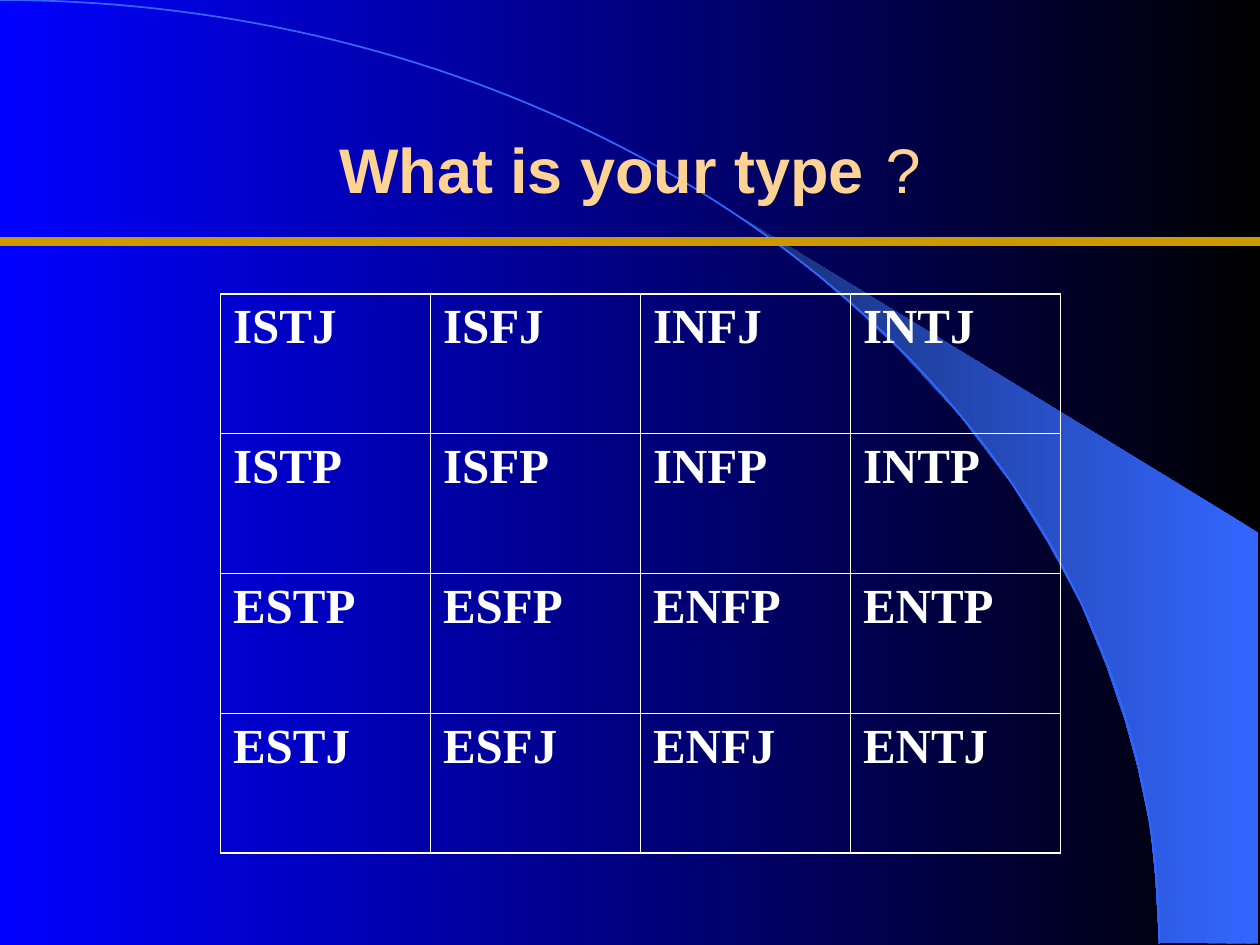
from pptx import Presentation
from pptx.dml.color import RGBColor
from pptx.enum.shapes import MSO_CONNECTOR, MSO_SHAPE
from pptx.enum.text import MSO_ANCHOR, PP_ALIGN
from pptx.oxml import parse_xml
from pptx.oxml.ns import nsdecls
from pptx.util import Inches, Pt
from lxml import etree

ARC, LINE = MSO_SHAPE.ARC, MSO_CONNECTOR.STRAIGHT
MID, CENTER = MSO_ANCHOR.MIDDLE, PP_ALIGN.CENTER
WIDE, HIGH = 10, 7.5
TITLE = [("What is your type", 36, True), (" ", 44, False), ("?", 36, False)]
TYPES = [
    ["ISTJ", "ISFJ", "INFJ", "INTJ"],
    ["ISTP", "ISFP", "INFP", "INTP"],
    ["ESTP", "ESFP", "ENFP", "ENTP"],
    ["ESTJ", "ESFJ", "ENFJ", "ENTJ"],
]
BEAM = [
    (9.2, 7.48), (9.99, 7.49), (9.99, 4.23), (5.89, 1.73), (6.24, 1.99),
    (6.53, 2.22), (6.85, 2.5), (7.16, 2.8), (7.62, 3.3), (8.03, 3.84),
    (8.32, 4.31), (8.58, 4.79), (8.78, 5.28), (8.93, 5.72), (9.03, 6.09),
    (9.13, 6.56), (9.17, 6.96),
]
ARC_W, ARC_H = 9.2, 7.49
GRID_X, GRID_Y = 0.175 * WIDE, 0.311 * HIGH
COL_W, ROW_H = WIDE / 6, 0.148 * HIGH
RULE_Y = 1.92
THIN, THICK = 0.45, 1.08


def color(code):
    """Turn a hex string into a colour."""
    return RGBColor.from_string(code)


def shade(fill, *codes):
    """Fill with a gradient that runs from right to left."""
    fill.gradient()
    fill.gradient_angle = 180
    for stop, code in zip(fill.gradient_stops, codes):
        stop.color.rgb = color(code)


def write(para, text, font, size, bold, code):
    """Add one styled run to a paragraph."""
    run = para.add_run()
    run.text = text
    run.font.name, run.font.size, run.font.bold = font, Pt(size), bold
    run.font.color.rgb = color(code)


def border(cell, sides):
    """Draw the four white edges of a cell."""
    props = cell._tc.get_or_add_tcPr()
    for spot, (side, width) in enumerate(sides.items()):
        props.insert(spot, parse_xml(
            f'<a:ln{side} {nsdecls("a")} w="{Pt(width)}"><a:solidFill>'
            f'<a:srgbClr val="FFFFFF"/></a:solidFill></a:ln{side}>'))


def backdrop(slide):
    """Draw the shaded ground, the beam and the arc."""
    shade(slide.background.fill, "000000", "0000FF")
    spots = [(Inches(x), Inches(y)) for x, y in BEAM]
    path = slide.shapes.build_freeform(*spots[0], scale=1.0)
    path.add_line_segments(spots[1:], close=True)
    beam = path.convert_to_shape()
    beam.shadow.inherit = False
    shade(beam.fill, "3366FF", "172F75")
    beam.line.fill.background()
    arc = slide.shapes.add_shape(
        ARC, Inches(-ARC_W), 0, Inches(2 * ARC_W), Inches(2 * ARC_H))
    arc.shadow.inherit = False
    arc.fill.background()
    arc.line.color.rgb = color("3366FF")
    arc.line.width = Pt(1)


def heading(slide):
    """Place and write the title above the backdrop."""
    title = slide.shapes.title
    slide.shapes._spTree.append(title._element)
    title.left, title.top = Inches(0.075 * WIDE), Inches(0.67)
    title.width, title.height = Inches(0.85 * WIDE), Inches(HIGH / 6)
    title.text_frame.vertical_anchor = MID
    para = title.text_frame.paragraphs[0]
    para.alignment = CENTER
    for text, size, bold in TITLE:
        write(para, text, "Arial", size, bold, "FFD393")


def grid(slide):
    """Build the table of types with a thicker outer edge."""
    rows, cols = len(TYPES), len(TYPES[0])
    table = slide.shapes.add_table(
        rows, cols, Inches(GRID_X), Inches(GRID_Y),
        Inches(cols * COL_W), Inches(rows * ROW_H)).table
    table.first_row = table.horz_banding = False
    for r, names in enumerate(TYPES):
        for c, name in enumerate(names):
            cell = table.cell(r, c)
            cell.fill.background()
            ends = {"L": c == 0, "R": c == cols - 1,
                    "T": r == 0, "B": r == rows - 1}
            border(cell, {s: THICK if end else THIN for s, end in ends.items()})
            para = cell.text_frame.paragraphs[0]
            write(para, name, "Times New Roman", 28, True, "FFFFFF")


def rule(slide):
    """Draw the gold line under the title."""
    line = slide.shapes.add_connector(
        LINE, 0, Inches(RULE_Y), Inches(WIDE), Inches(RULE_Y))
    line.line.color.rgb = color("CC9900")
    line.line.width = Pt(5.25)
    props = line._element.spPr
    etree.SubElement(props, f"{{{props.nsmap['a']}}}effectLst")


def main():
    """Build and save the slide."""
    deck = Presentation()
    deck.slide_width, deck.slide_height = Inches(WIDE), Inches(HIGH)
    slide = deck.slides.add_slide(deck.slide_layouts[5])
    for part in (backdrop, heading, grid, rule):
        part(slide)
    deck.save("out.pptx")


if __name__ == "__main__":
    main()
